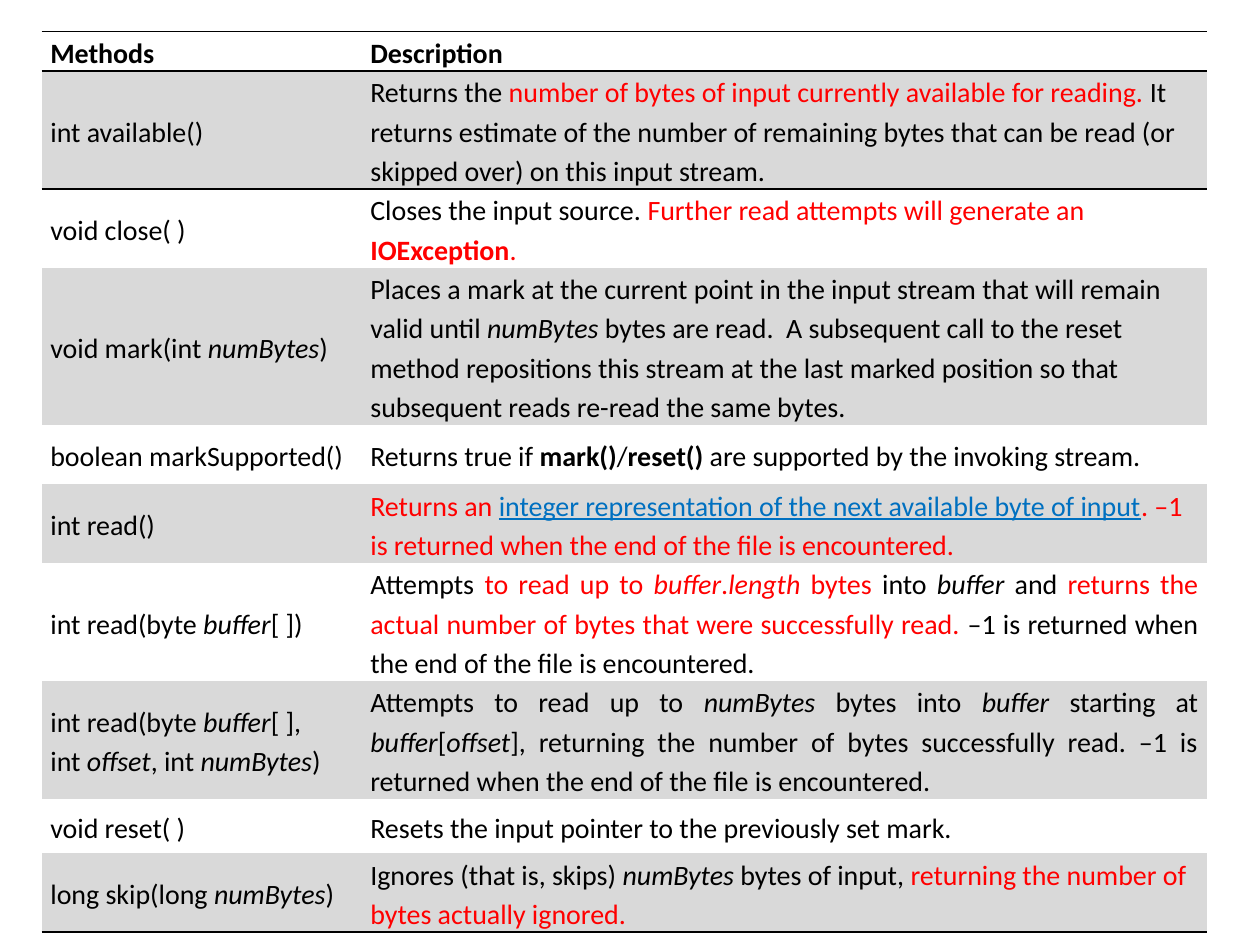
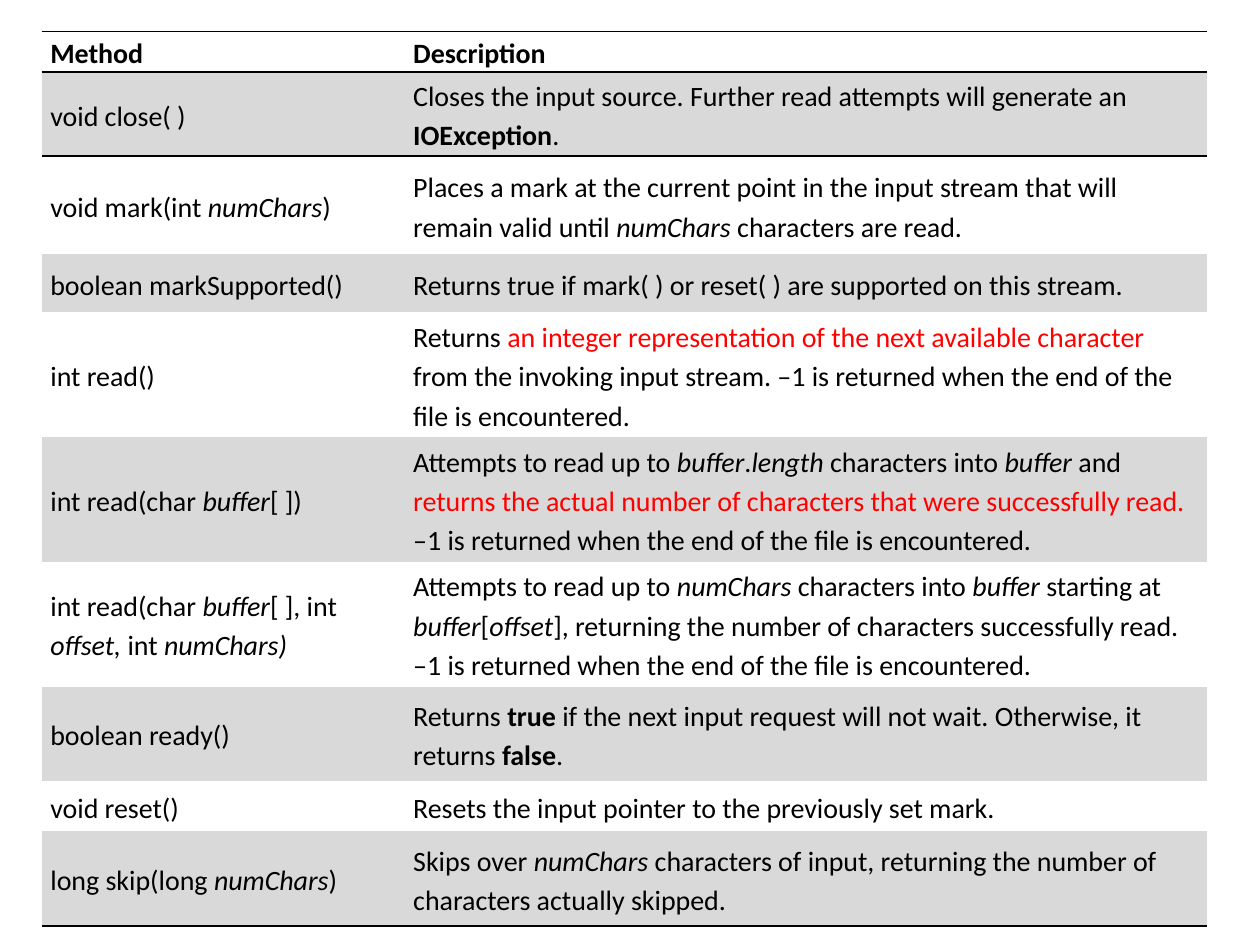
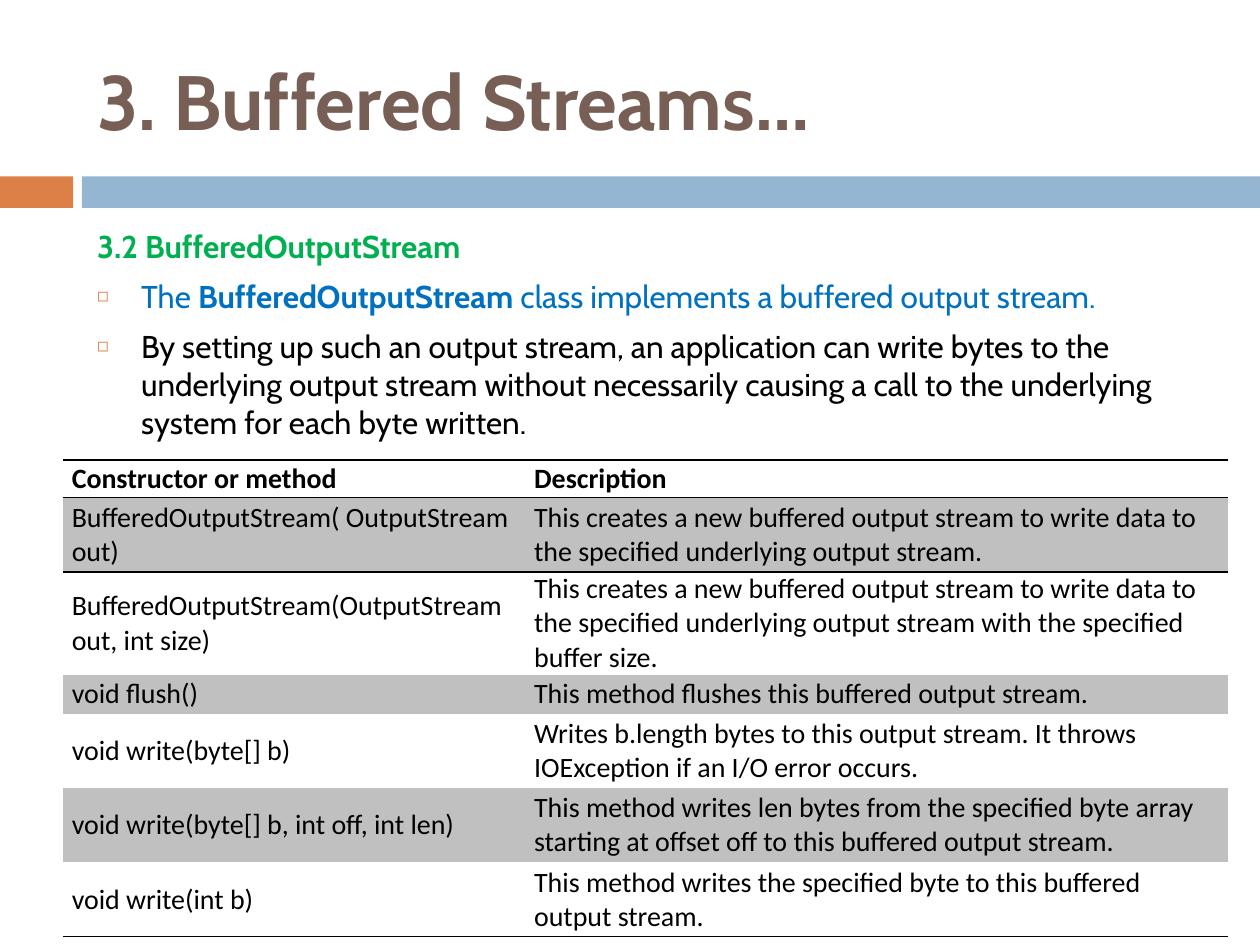
"""Build three slides on the methods of Java input and output stream classes."""
from dataclasses import dataclass

from lxml.etree import SubElement
from pptx import Presentation
from pptx.dml.color import RGBColor
from pptx.enum.shapes import MSO_SHAPE
from pptx.enum.text import MSO_ANCHOR, MSO_AUTO_SIZE, PP_ALIGN
from pptx.oxml.ns import qn
from pptx.util import Pt

PX = 9144
BLACK = RGBColor(0x00, 0x00, 0x00)
RED = RGBColor(0xFF, 0x00, 0x00)
BLUE = RGBColor(0x00, 0x70, 0xC0)
GREEN = RGBColor(0x00, 0xB0, 0x50)
BROWN = RGBColor(0x77, 0x5F, 0x55)
ORANGE = RGBColor(0xDD, 0x80, 0x47)
PALE_BLUE = RGBColor(0x94, 0xB6, 0xD2)
LIGHT_GREY = RGBColor(0xD9, 0xD9, 0xD9)
MID_GREY = RGBColor(0xC0, 0xC0, 0xC0)
HEADING_FONT = "Cabin"
TABLE_FONT = "Calibri"
PLAIN_TABLE_STYLE = "{2D5ABB26-0587-4C30-8999-92F81FD0307C}"
BOLD, ITALIC, UNDERLINE, RED_MARK, BLUE_MARK, BREAK = "^*_~|\n"


@dataclass(frozen=True)
class Box:
    """Hold a position and size in px."""
    left: int
    top: int
    width: int
    height: int

    def emu(self) -> tuple[int, ...]:
        """Return the box in EMU."""
        return tuple(n * PX for n in (self.left, self.top, self.width, self.height))


@dataclass(frozen=True)
class Band:
    """Describe a coloured band under the title."""
    box: Box
    color: RGBColor


@dataclass(frozen=True)
class Row:
    """Describe one method and what it does, in marked text."""
    height: int
    method: str
    description: str
    justified: bool = False


@dataclass(frozen=True)
class MethodTable:
    """Describe a table of methods whose first row is the header."""
    left: int
    top: int
    columns: tuple[int, int]
    stripe: RGBColor
    line_spacing: float
    rows: tuple[Row, ...]


@dataclass(frozen=True)
class Point:
    """Describe one paragraph of the body."""
    text: str
    color: RGBColor
    bulleted: bool = True


BANDS = (
    Band(Box(0, 140, 58, 25), ORANGE),
    Band(Box(65, 140, 935, 25), PALE_BLUE),
)
TITLE_BOX = Box(67, 25, 892, 108)
BODY_BOX = Box(67, 175, 892, 575)
HANGING_INDENT = 35
CELL_MARGIN = 7

INPUT_STREAM = MethodTable(33, 25, (254, 671), LIGHT_GREY, 1.15, (
    Row(30, "^Methods^", "^Description^"),
    Row(91, "int available()",
        "Returns the ~number of bytes of input currently available for reading.~ It returns "
        "estimate of the number of remaining bytes that can be read (or skipped over) on this "
        "input stream."),
    Row(61, "void close( )",
        "Closes the input source.~ Further read attempts will generate an ^IOException^.~"),
    Row(122, "void mark(int *numBytes*)",
        "Places a mark at the current point in the input stream that will remain valid until "
        "*numBytes *bytes are read.  A subsequent call to the reset method repositions this "
        "stream at the last marked position so that subsequent reads re-read the same bytes."),
    Row(47, "boolean markSupported()",
        "Returns true if ^mark()^/^reset()^ are supported by the invoking stream."),
    Row(61, "int read()",
        "~Returns an ~|_integer representation of the next available byte of input_|~. –1 is "
        "returned when the end of the file is encountered.~"),
    Row(91, "int read(byte *buffer*[ ])",
        "Attempts ~to read up to *buffer*.*length *bytes ~into *buffer *and ~returns the actual "
        "number of bytes that were successfully read. ~–1 is returned when the end of the file "
        "is encountered.", True),
    Row(91, "int read(byte *buffer*[ ],\nint *offset*, int *numBytes*)",
        "Attempts to read up to *numBytes *bytes into *buffer *starting at *buffer*[*offset*], "
        "returning the number of bytes successfully read. –1 is returned when the end of the "
        "file is encountered.", True),
    Row(43, "void reset( )", "Resets the input pointer to the previously set mark."),
    Row(61, "long skip(long *numBytes*)",
        "Ignores (that is, skips) *numBytes *bytes of input, ~returning the number of bytes "
        "actually ignored.~"),
))

READER = MethodTable(33, 25, (288, 637), LIGHT_GREY, 1.15, (
    Row(32, "^Method^", "^Description^"),
    Row(67, "void close( )",
        "Closes the input source. Further read attempts will generate an ^IOException^."),
    Row(78, "void mark(int *numChars*)",
        "Places a mark at the current point in the input stream that will remain valid until "
        "*numChars *characters are read."),
    Row(46, "boolean markSupported()",
        "Returns true if mark( ) or reset( ) are supported on this stream."),
    Row(99, "int read()",
        "Returns ~an integer representation of the next available character ~from the invoking "
        "input stream. –1 is returned when the end of the file is encountered."),
    Row(99, "int read(char *buffer*[ ])",
        "Attempts to read up to *buffer*.*length *characters into *buffer *and ~returns the "
        "actual number of characters that were successfully read. ~–1 is returned when the end "
        "of the file is encountered."),
    Row(99, "int read(char *buffer*[ ], int *offset, *int *numChars)*",
        "Attempts to read up to *numChars *characters into *buffer *starting at "
        "*buffer*[*offset*], returning the number of characters successfully read. –1 is "
        "returned when the end of the file is encountered."),
    Row(75, "boolean ready()",
        "Returns ^true ^if the next input request will not wait. Otherwise, it returns ^false^."),
    Row(40, "void reset()", "Resets the input pointer to the previously set mark."),
    Row(75, "long skip(long *numChars*)",
        "Skips over *numChars *characters of input, returning the number of characters "
        "actually skipped."),
))

BUFFERED_OUTPUT = MethodTable(50, 365, (367, 558), MID_GREY, 1.0, (
    Row(30, "^Constructor or method^", "^Description^"),
    Row(59, "BufferedOutputStream( OutputStream out)",
        "This creates a new buffered output stream to write data to the specified underlying "
        "output stream."),
    Row(78, "BufferedOutputStream(OutputStream out, int size)",
        "This creates a new buffered output stream to write data to the specified underlying "
        "output stream with the specified buffer size."),
    Row(31, "void flush()", "This method flushes this buffered output stream."),
    Row(59, "void write(byte[] b)",
        "Writes b.length bytes to this output stream. It throws IOException if an I/O error "
        "occurs."),
    Row(59, "void write(byte[] b, int off, int len)",
        "This method writes len bytes from the specified byte array starting at offset off to "
        "this buffered output stream."),
    Row(59, "void write(int b)",
        "This method writes the specified byte to this buffered output stream."),
))

POINTS = (
    Point("^3.2 BufferedOutputStream^", GREEN, False),
    Point("The ^BufferedOutputStream^ class implements a buffered output stream.", BLUE),
    Point("By setting up such an output stream, an application can write bytes to the "
          "underlying output stream without necessarily causing a call to the underlying "
          "system for each byte written.", BLACK),
)


def split_marks(text: str) -> list[tuple[str, frozenset]]:
    """Split marked text into pieces, each with the marks that are on."""
    pieces, active, piece = [], frozenset(), ""
    for letter in text:
        if letter not in (BOLD, ITALIC, UNDERLINE, RED_MARK, BLUE_MARK, BREAK):
            piece += letter
            continue
        if piece:
            pieces.append((piece, active))
            piece = ""
        if letter == BREAK:
            pieces.append((BREAK, active))
        else:
            active ^= {letter}
    return pieces + [(piece, active)] if piece else pieces


def write_marked(paragraph, text: str, font: str, size: int, color: RGBColor = BLACK) -> None:
    """Write marked text as formatted runs."""
    for piece, marks in split_marks(text):
        if piece == BREAK:
            paragraph.add_line_break()
            continue
        run = paragraph.add_run()
        run.text = piece
        run.font.name = font
        run.font.size = Pt(size)
        run.font.bold = BOLD in marks
        run.font.italic = ITALIC in marks
        run.font.underline = UNDERLINE in marks
        run.font.color.rgb = RED if RED_MARK in marks else BLUE if BLUE_MARK in marks else color


def rule_cell(cell, side: str) -> None:
    """Draw a thin black rule on one side of a cell."""
    rule = SubElement(cell._tc.get_or_add_tcPr(), qn(f"a:{side}"), w=str(Pt(1)))
    SubElement(SubElement(rule, qn("a:solidFill")), qn("a:srgbClr"), val=str(BLACK))


def add_method_table(slide, spec_table: MethodTable) -> None:
    """Add a striped table of methods with rules round the header and at the foot."""
    rows = spec_table.rows
    box = Box(spec_table.left, spec_table.top, sum(spec_table.columns),
              sum(row.height for row in rows))
    table = slide.shapes.add_table(len(rows), len(spec_table.columns), *box.emu()).table
    table.first_row = table.horz_banding = False
    table._tbl.tblPr.find(qn("a:tableStyleId")).text = PLAIN_TABLE_STYLE
    for column, width in zip(table.columns, spec_table.columns):
        column.width = width * PX
    last = len(rows) - 1
    for index, row in enumerate(rows):
        table.rows[index].height = row.height * PX
        for cell, text in zip(table.rows[index].cells, (row.method, row.description)):
            cell.vertical_anchor = MSO_ANCHOR.MIDDLE
            cell.margin_left = cell.margin_right = CELL_MARGIN * PX
            cell.margin_top = cell.margin_bottom = 0
            if index in (0, 1):
                rule_cell(cell, "lnT")
            if index in (0, last):
                rule_cell(cell, "lnB")
            if index % 2:
                cell.fill.solid()
                cell.fill.fore_color.rgb = spec_table.stripe
            else:
                cell.fill.background()
            paragraph = cell.text_frame.paragraphs[0]
            paragraph.line_spacing = spec_table.line_spacing
            if row.justified and text == row.description:
                paragraph.alignment = PP_ALIGN.JUSTIFY
            write_marked(paragraph, text, TABLE_FONT, 16)


def add_band(slide, band: Band) -> None:
    """Add one coloured band."""
    strip = slide.shapes.add_shape(MSO_SHAPE.RECTANGLE, *band.box.emu())
    strip.shadow.inherit = False
    strip.fill.solid()
    strip.fill.fore_color.rgb = band.color
    strip.line.fill.background()


def place(placeholder, box: Box, anchor: MSO_ANCHOR):
    """Move a placeholder and return its text frame."""
    placeholder.left, placeholder.top, placeholder.width, placeholder.height = box.emu()
    frame = placeholder.text_frame
    frame.word_wrap = True
    frame.auto_size = MSO_AUTO_SIZE.NONE
    frame.vertical_anchor = anchor
    return frame


def set_bullet(paragraph, bulleted: bool) -> None:
    """Give a paragraph a hanging square bullet, or none."""
    properties = paragraph._p.get_or_add_pPr()
    indent = HANGING_INDENT * PX if bulleted else 0
    properties.set("marL", str(indent))
    properties.set("indent", str(-indent))
    if bulleted:
        SubElement(SubElement(properties, qn("a:buClr")), qn("a:srgbClr"), val=str(ORANGE))
        SubElement(properties, qn("a:buSzPct"), val="60000")
        SubElement(properties, qn("a:buChar"), char="◻")
    else:
        SubElement(properties, qn("a:buNone"))


def add_title(slide, text: str) -> None:
    """Fill the title placeholder."""
    heading = place(slide.shapes.title, TITLE_BOX, MSO_ANCHOR.MIDDLE).paragraphs[0]
    heading.alignment = PP_ALIGN.LEFT
    write_marked(heading, text, HEADING_FONT, 44, BROWN)


def add_points(slide, points: tuple[Point, ...]) -> None:
    """Fill the body placeholder with a list."""
    frame = place(slide.placeholders[1], BODY_BOX, MSO_ANCHOR.TOP)
    for index, point in enumerate(points):
        paragraph = frame.add_paragraph() if index else frame.paragraphs[0]
        paragraph.space_before = Pt(7)
        set_bullet(paragraph, point.bulleted)
        write_marked(paragraph, point.text, HEADING_FONT, 18, point.color)


def main() -> None:
    """Build and save the slides."""
    deck = Presentation()
    deck.slide_width, deck.slide_height = 1000 * PX, 750 * PX
    content_layout, blank_layout = deck.slide_layouts[1], deck.slide_layouts[6]
    for methods in (INPUT_STREAM, READER):
        add_method_table(deck.slides.add_slide(blank_layout), methods)
    buffered = deck.slides.add_slide(content_layout)
    for band in BANDS:
        add_band(buffered, band)
    add_title(buffered, "^3. Buffered Streams…^")
    add_points(buffered, POINTS)
    add_method_table(buffered, BUFFERED_OUTPUT)
    deck.save("out.pptx")


if __name__ == "__main__":
    main()
